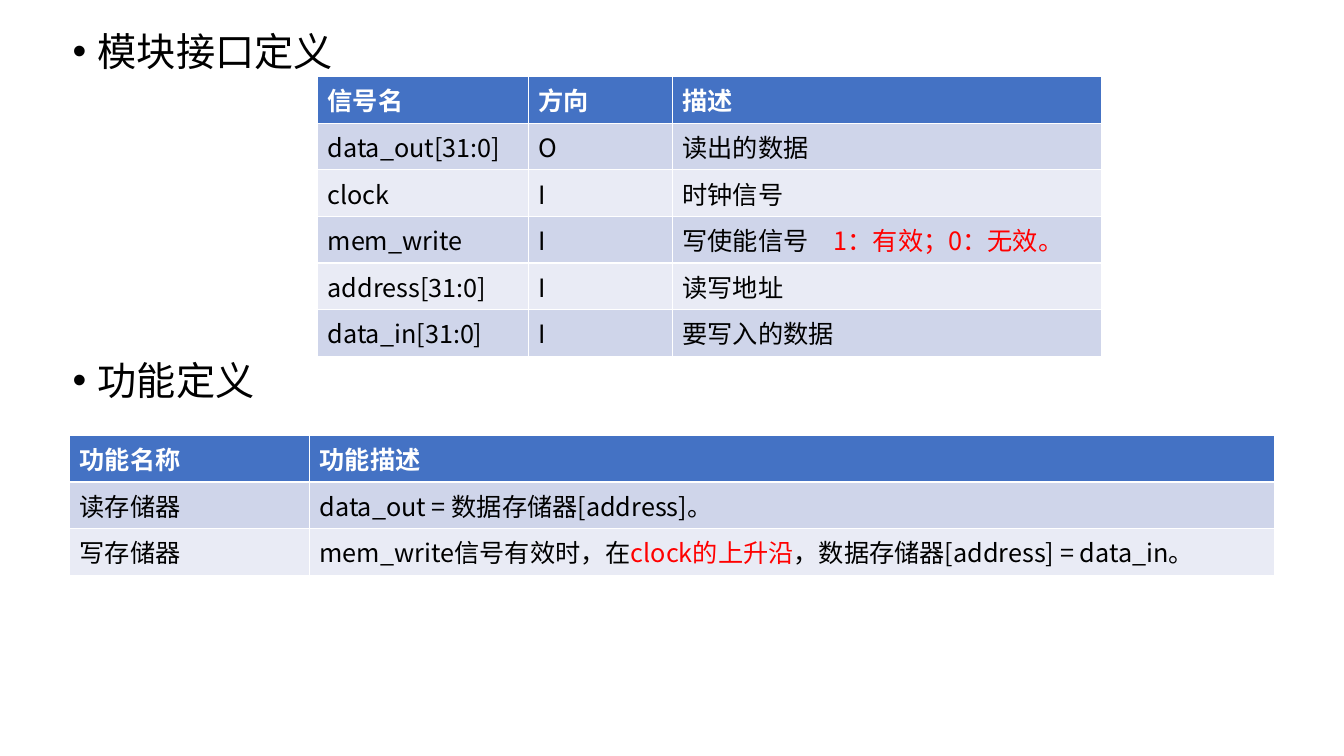
import pptx
import pptx.util
import pptx.dml.color
import pptx.enum.text
import pptx.oxml
import pptx.oxml.ns
from pptx.util import Inches, Pt

FACE = "Noto Sans CJK SC"
BLACK, WHITE, RED = "000000", "FFFFFF", "FF0000"
HEAD = "4472C4"
BANDS = ("CFD5EA", "E9EBF5")
ROW = 0.46

SIGNALS = [
    ["信号名", "方向", "描述"],
    ["data_out[31:0]", "O", "读出的数据"],
    ["clock", "I", "时钟信号"],
    ["mem_write", "I", [("写使能信号\t", BLACK), ("1：有效；0：无效。", RED)]],
    ["address[31:0]", "I", "读写地址"],
    ["data_in[31:0]", "I", "要写入的数据"],
]
ACTIONS = [
    ["功能名称", "功能描述"],
    ["读存储器", "data_out = 数据存储器[address]。"],
    ["写存储器", [("mem_write信号有效时，在", BLACK), ("clock的上升沿", RED),
              ("，数据存储器[address] = data_in。", BLACK)]],
]


def paint(target, color):
    """Set the colour of a fill or a font."""
    if hasattr(target, "solid"):
        target.solid()
        target.fore_color.rgb = pptx.dml.color.RGBColor.from_string(color)
    else:
        target.color.rgb = pptx.dml.color.RGBColor.from_string(color)


def add_node(parent, tag, place=None, **attrs):
    node = pptx.oxml.parse_xml(f"<a:{tag} {pptx.oxml.ns.nsdecls('a')}/>")
    for key, value in attrs.items():
        node.set(key, str(value))
    parent.insert(len(parent) if place is None else place, node)
    return node


def set_font(para, size, color=None, bold=False):
    font = para.font
    font.name, font.size, font.bold = FACE, Pt(size), bold
    if color:
        paint(font, color)
    # East Asian letters take their face from a separate element
    add_node(para._p.pPr.find(pptx.oxml.ns.qn("a:defRPr")), "ea", typeface=FACE)


def add_tab(para, stop):
    tabs = add_node(para._p.get_or_add_pPr(), "tabLst", 0)
    add_node(tabs, "tab", pos=Inches(stop), algn="l")


def fill_cell(cell, text, color, bold, back):
    paint(cell.fill, back)
    para = cell.text_frame.paragraphs[0]
    if isinstance(text, str):
        para.add_run().text = text
        set_font(para, 18, color, bold)
        return
    set_font(para, 18)
    for part, tint in text:
        run = para.add_run()
        run.text = part
        paint(run.font, tint)
        if "\t" in part:
            add_tab(para, 1.5)


def add_grid(slide, left, top, widths, rows):
    frame = slide.shapes.add_table(
        len(rows), len(widths), Inches(left), Inches(top),
        Inches(sum(widths)), Inches(ROW * len(rows)))
    grid = frame.table
    for column, width in zip(grid.columns, widths):
        column.width = Inches(width)
    for r, row in enumerate(rows):
        grid.rows[r].height = Inches(ROW)
        back = BANDS[(r - 1) % 2] if r else HEAD
        for c, text in enumerate(row):
            fill_cell(grid.cell(r, c), text, BLACK if r else WHITE, r == 0, back)


def add_list(body, items):
    """Fill the body placeholder with (text, space before) bullets."""
    frame = body.text_frame
    frame.auto_size = pptx.enum.text.MSO_AUTO_SIZE.NONE
    for i, (text, space) in enumerate(items):
        para = frame.add_paragraph() if i else frame.paragraphs[0]
        para.add_run().text = text
        para.line_spacing = 0.9
        para.space_before = Pt(space)
        set_font(para, 28, BLACK)
        para._p.pPr.set("marL", str(Inches(0.25)))
        para._p.pPr.set("indent", str(Inches(-0.25)))


def main():
    deck = pptx.Presentation()
    deck.slide_width, deck.slide_height = Inches(13.33), Inches(7.5)
    slide = deck.slides.add_slide(deck.slide_layouts[1])
    title = slide.shapes.title
    title._element.getparent().remove(title._element)

    # Bullets that head the two tables
    body = slide.placeholders[1]
    body.left, body.top = Inches(0.62), Inches(0.27)
    body.width, body.height = Inches(12.08), Inches(6.47)
    add_list(body, [("模块接口定义", 10), ("功能定义", 205)])

    # Signals, then functions
    add_grid(slide, 3.15, 0.76, [2.09, 1.43, 4.26], SIGNALS)
    add_grid(slide, 0.69, 4.32, [2.38, 9.57], ACTIONS)
    deck.save("out.pptx")


if __name__ == "__main__":
    main()
